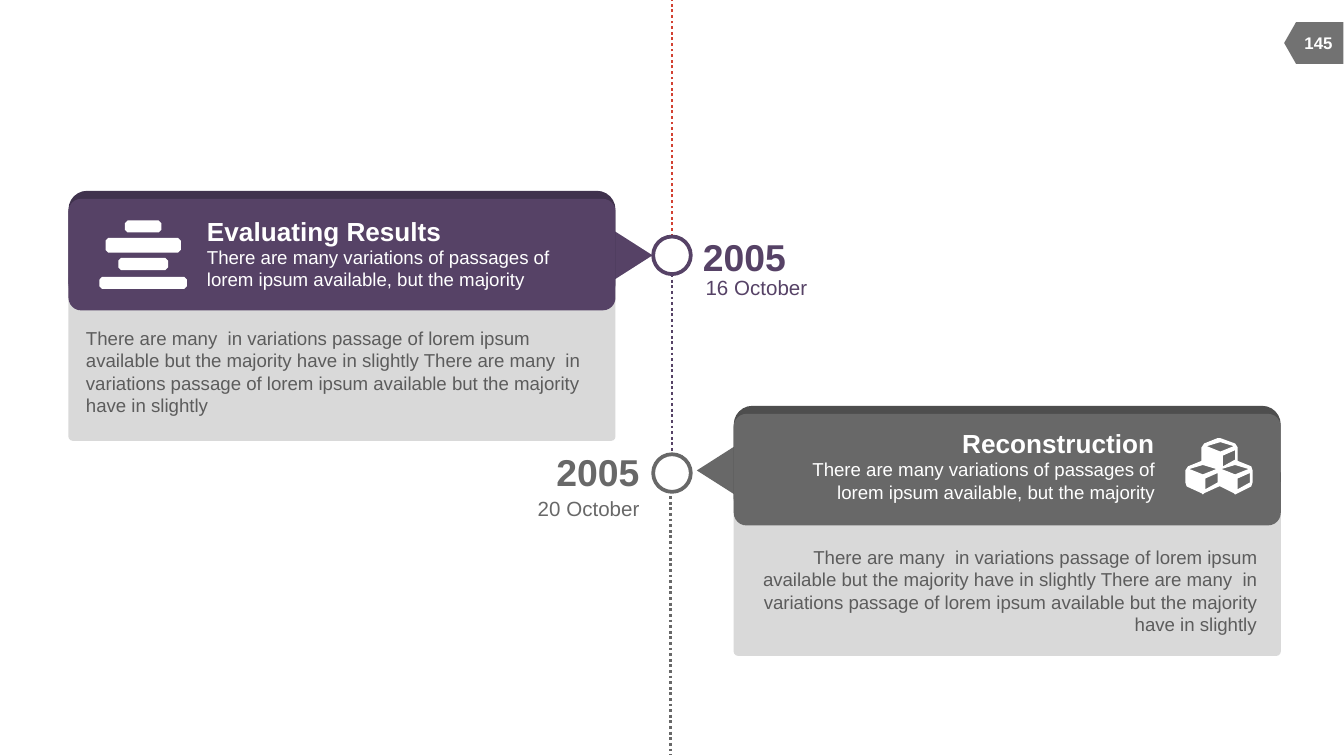
from lxml import etree
from pptx import Presentation
from pptx.dml.color import RGBColor
from pptx.enum.dml import MSO_LINE_DASH_STYLE as Dash
from pptx.enum.shapes import MSO_CONNECTOR, MSO_SHAPE as Shape
from pptx.enum.text import MSO_ANCHOR as Anchor, PP_ALIGN as Align
from pptx.oxml.ns import qn
from pptx.util import Inches, Pt

THEME = {
    "font": "Arial",
    "white": "FFFFFF", "panel": "D9D9D9", "body": "5C5C5C",
    "badge": "727272", "start": "D24132",
    "purple": "564266", "purple_dark": "40324D",
    "gray": "686868", "gray_dark": "4E4E4E",
    "size": {"page": 9, "text": 10, "date": 11, "title": 14, "year": 20},
}
SUMMARY = "There are many variations of passages of lorem ipsum available, but the majority"
PASSAGE = "There are many  in variations passage of lorem ipsum available but the majority have in slightly"
DETAIL = f"{PASSAGE} {PASSAGE}"
PAGE = "145"

EVENTS = [
    {"title": "Evaluating Results", "year": "2005", "date": "16 October",
     "color": "purple", "dark": "purple_dark", "align": Align.LEFT,
     "left": 0.51, "top": 1.42, "arrow_left": 4.4, "arrow_turn": 90,
     "title_at": (1.54, 1.6, 1.75, 0.24), "summary_at": (1.54, 1.83, 2.76, 0.34),
     "detail_at": (0.64, 2.43, 3.77, 0.67), "node_top": 1.76,
     "year_at": (5.23, 1.74, 0.62, 0.34), "date_at": (5.25, 2.04, 0.76, 0.19)},
    {"title": "Reconstruction", "year": "2005", "date": "20 October",
     "color": "gray", "dark": "gray_dark", "align": Align.RIGHT,
     "left": 5.46, "top": 3.02, "arrow_left": 5.13, "arrow_turn": 270,
     "title_at": (7.16, 3.18, 1.43, 0.24), "summary_at": (5.83, 3.41, 2.76, 0.34),
     "detail_at": (5.58, 4.06, 3.77, 0.67), "node_top": 3.38,
     "year_at": (4.14, 3.34, 0.62, 0.34), "date_at": (4, 3.69, 0.76, 0.19)},
]
AXIS = [(5, 1.76, 0, "start"), (5, 2.04, 3.38, "purple"), (4.99, 3.65, 5.62, "gray")]

BARS_CENTER, BAR_CORNER = 1.065, 0.02
BARS = [(1.64, 0.27, 0.09), (1.77, 0.56, 0.11), (1.92, 0.37, 0.09), (2.06, 0.65, 0.09)]
CUBE_TOPS = [(9.08, 3.26), (8.95, 3.43), (9.19, 3.43)]
CUBE_FACES = [
    [(0.1, 0.06), (0, 0.03), (-0.1, 0.06), (0, 0.1)],
    [(0.11, 0.16), (0.11, 0.09), (0.02, 0.13), (0.02, 0.21)],
]
CUBES_OUTLINE = [
    (9.32, 3.59), (9.31, 3.62), (9.21, 3.67), (9.19, 3.68), (9.18, 3.67), (9.08, 3.62),
    (9.07, 3.62), (8.96, 3.67), (8.95, 3.68), (8.94, 3.67), (8.83, 3.62), (8.82, 3.59),
    (8.82, 3.5), (8.84, 3.47), (8.94, 3.43), (8.94, 3.33), (8.96, 3.3), (9.06, 3.26),
    (9.08, 3.26), (9.19, 3.3), (9.21, 3.33), (9.21, 3.43), (9.31, 3.47), (9.32, 3.5),
]

CARD_WIDTH, HEADER_HEIGHT, PANEL_HEIGHT = 4.07, 0.83, 1.24
NODE_SIZE = 0.28

deck = Presentation()
deck.slide_width = Inches(10)
deck.slide_height = deck.slide_width * 9 // 16
slide = deck.slides.add_slide(deck.slide_layouts[6])


def rgb(name):
    return RGBColor.from_string(THEME[name])


def paint(shape, fill, outline=None):
    shape.shadow.inherit = False
    shape.fill.solid()
    shape.fill.fore_color.rgb = rgb(fill)
    if outline:
        shape.line.color.rgb = rgb(outline)
        shape.line.width = Pt(2)
    else:
        shape.line.fill.background()


def draw(kind, box, fill, outline=None, turn=0, corner=None):
    shape = slide.shapes.add_shape(kind, *map(Inches, box))
    paint(shape, fill, outline)
    shape.rotation = turn
    if corner is not None:
        shape.adjustments[0] = corner


def write(text, box, size, color, align=Align.LEFT, bold=False, wrap=False, anchor=Anchor.MIDDLE):
    frame = slide.shapes.add_textbox(*map(Inches, box)).text_frame
    frame_format = {"word_wrap": wrap, "vertical_anchor": anchor, "margin_left": 0,
                    "margin_right": 0, "margin_top": 0, "margin_bottom": 0}
    for key, value in frame_format.items():
        setattr(frame, key, value)
    paragraph = frame.paragraphs[0]
    paragraph.alignment = align
    run = paragraph.add_run()
    run.text = text
    font_format = {"name": THEME["font"], "size": Pt(THEME["size"][size]), "bold": bold}
    for key, value in font_format.items():
        setattr(run.font, key, value)
    run.font.color.rgb = rgb(color)


def draw_axis(x, start, end, color):
    line = slide.shapes.add_connector(
        MSO_CONNECTOR.STRAIGHT, *map(Inches, (x, start, x, end)))
    line.line.color.rgb = rgb(color)
    line.line.width = Pt(1.5)
    line.line.dash_style = Dash.ROUND_DOT
    etree.SubElement(line._element.spPr, qn("a:effectLst"))


def draw_event(event):
    left, top, color = event["left"], event["top"], event["color"]
    align = event["align"]
    draw(Shape.ROUNDED_RECTANGLE, (left, top + 0.62, CARD_WIDTH, PANEL_HEIGHT), "panel", corner=0.025)
    draw(Shape.ISOSCELES_TRIANGLE, (event["arrow_left"], top + 0.28, 0.51, 0.4), color,
         turn=event["arrow_turn"])
    draw(Shape.ROUNDED_RECTANGLE, (left, top, CARD_WIDTH, HEADER_HEIGHT), event["dark"])
    draw(Shape.ROUNDED_RECTANGLE, (left, top + 0.06, CARD_WIDTH, HEADER_HEIGHT), color, corner=0.113)
    write(event["title"], event["title_at"], "title", "white", align, bold=True)
    write(SUMMARY, event["summary_at"], "text", "white", align, wrap=True, anchor=Anchor.TOP)
    write(DETAIL, event["detail_at"], "text", "body", align, wrap=True, anchor=Anchor.TOP)
    draw(Shape.OVAL, (5 - NODE_SIZE / 2, event["node_top"], NODE_SIZE, NODE_SIZE), "white", color)
    write(event["year"], event["year_at"], "year", color, bold=True)
    write(event["date"], event["date_at"], "date", color, align)


def bar_outline(top, width, height):
    left, right = BARS_CENTER - width / 2, BARS_CENTER + width / 2
    bottom, cut = top + height, BAR_CORNER
    return [(left + cut, top), (right - cut, top), (right, top + cut), (right, bottom - cut),
            (right - cut, bottom), (left + cut, bottom), (left, bottom - cut), (left, top + cut)]


def draw_icon(outlines):
    contours = [[(Inches(x), Inches(y)) for x, y in outline] for outline in outlines]
    builder = slide.shapes.build_freeform(*contours[0][0])
    builder.add_line_segments(contours[0][1:], close=True)
    for contour in contours[1:]:
        builder.move_to(*contour[0])
        builder.add_line_segments(contour[1:], close=True)
    paint(builder.convert_to_shape(), "white")


draw(Shape.FLOWCHART_OFFPAGE_CONNECTOR, (9.62, 0.1, 0.31, 0.44), "badge", turn=90)
write(PAGE, (9.6, 0.17, 0.42, 0.3), "page", "white", Align.CENTER, bold=True)
for segment in AXIS:
    draw_axis(*segment)
for event in EVENTS:
    draw_event(event)
cube_faces = [[(x + dx, y + dy) for dx, dy in face] for x, y in CUBE_TOPS for face in CUBE_FACES]
draw_icon([bar_outline(*bar) for bar in BARS])
draw_icon([CUBES_OUTLINE, *cube_faces])

deck.save("out.pptx")
